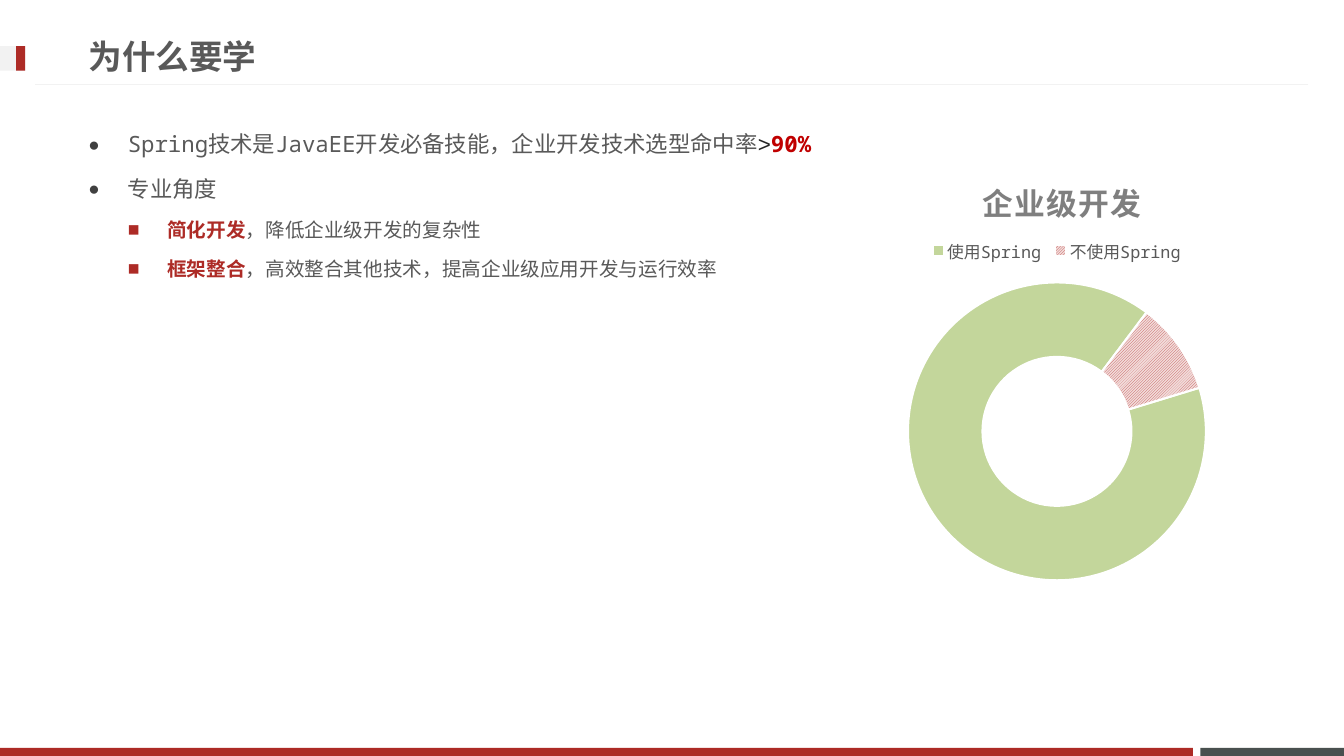
from lxml import etree
from pptx import Presentation
from pptx.chart.data import CategoryChartData
from pptx.dml.color import RGBColor
from pptx.enum.chart import XL_CHART_TYPE, XL_LEGEND_POSITION
from pptx.enum.dml import MSO_PATTERN
from pptx.enum.shapes import MSO_CONNECTOR, MSO_SHAPE
from pptx.enum.text import MSO_ANCHOR, MSO_AUTO_SIZE, PP_ALIGN
from pptx.oxml import parse_xml
from pptx.oxml.ns import qn
from pptx.util import Pt

DOUGHNUT = XL_CHART_TYPE.DOUGHNUT
TOP = XL_LEGEND_POSITION.TOP
DIAGONAL = MSO_PATTERN.LIGHT_UPWARD_DIAGONAL
STRAIGHT = MSO_CONNECTOR.STRAIGHT
RECT = MSO_SHAPE.RECTANGLE
MIDDLE = MSO_ANCHOR.MIDDLE
LEFT = PP_ALIGN.LEFT
NO_FIT = MSO_AUTO_SIZE.NONE
RED, GRAY, PALE = "AD2B26", "595959", "F2F2F2"
MONO = "Noto Sans Mono"
CHART_NS = "http://schemas.openxmlformats.org/drawingml/2006/chart"


def rgb(color):
    return RGBColor.from_string(color)


def add_run(p, text, size=16, color=GRAY, bold=False, font=MONO):
    r = p.add_run()
    r.text = text
    r.font.size, r.font.bold, r.font.name = Pt(size), bold, font
    r.font.color.rgb = rgb(color)
    etree.SubElement(r.font._element, qn("a:ea"), typeface=font)
    return r


prs = Presentation()
prs.slide_width, prs.slide_height = Pt(960), Pt(540)
s = prs.slides.add_slide(prs.slide_layouts[1])

for x, y, w, h, color in [
    (857.5, 534.2, 102.5, 5.8, "49504F"),
    (0, 534.2, 852, 5.8, RED),
    (0, 33, 18, 17.5, PALE),
    (11.5, 33, 6.5, 17.5, RED),
]:
    sp = s.shapes.add_shape(RECT, Pt(x), Pt(y), Pt(w), Pt(h))
    sp.shadow.inherit = False
    sp.fill.solid()
    sp.fill.fore_color.rgb = rgb(color)
    sp.line.fill.background()

rule = s.shapes.add_connector(STRAIGHT, Pt(934.5), Pt(60.5), Pt(25), Pt(60.5))
rule.line.color.rgb = rgb(PALE)
rule.line.width = Pt(0.75)
etree.SubElement(rule._element.spPr, qn("a:effectLst"))

title = s.shapes.title
title.left, title.top, title.width, title.height = Pt(56), Pt(19.5), Pt(690.5), Pt(41)
tf = title.text_frame
tf.auto_size, tf.vertical_anchor = NO_FIT, MIDDLE
p = tf.paragraphs[0]
p.alignment = LEFT
add_run(p, "为什么要学", size=24, bold=True)

body = s.placeholders[1]
body.left, body.top, body.width, body.height = Pt(56), Pt(80), Pt(846.5), Pt(372)
tf = body.text_frame
tf.auto_size = NO_FIT
bullets = [
    (0, [("Spring技术是JavaEE开发必备技能，企业开发技术选型命中率", {}),
         (">", {"color": "262626", "font": "Arial"}),
         ("90%", {"color": "C00000", "bold": True})]),
    (0, [("专业角度", {})]),
    (1, [("简化开发", {"color": RED, "bold": True}),
         ("，降低企业级开发的复杂性", {})]),
    (1, [("框架整合", {"color": RED, "bold": True}),
         ("，高效整合其他技术，提高企业级应用开发与运行效率", {})]),
]
styles = [(16, "●", "404040", "85000"), (14, "■", RED, "100000")]
for i, (level, runs) in enumerate(bullets):
    p = tf.paragraphs[0] if i == 0 else tf.add_paragraph()
    size, mark, color, scale = styles[level]
    p.level, p.line_spacing = level, 1.5
    pPr = p._p.get_or_add_pPr()
    pPr.set("marL", str(Pt(28.1 * (level + 1))))
    pPr.set("indent", str(Pt(-28.1)))
    etree.SubElement(etree.SubElement(pPr, qn("a:buClr")), qn("a:srgbClr"), val=color)
    etree.SubElement(pPr, qn("a:buSzPct"), val=scale)
    etree.SubElement(pPr, qn("a:buFont"), typeface=MONO)
    etree.SubElement(pPr, qn("a:buChar"), char=mark)
    for text, style in runs:
        add_run(p, text, size=size, **style)

data = CategoryChartData()
data.categories = ["使用Spring", "不使用Spring"]
data.add_series("Series 1", [90, 10])
chart = s.shapes.add_chart(
    DOUGHNUT, Pt(636.5), Pt(105), Pt(237), Pt(322.5), data).chart
chart.font.size, chart.font.name = Pt(10), "Calibri"
chart.font.color.rgb = rgb("000000")

chart.has_title = True
p = chart.chart_title.text_frame.paragraphs[0]
r = add_run(p, "企业级开发", size=22, color="7F7F7F", bold=True)
r.font._element.set("spc", "100")

chart.has_legend = True
legend = chart.legend
legend.position, legend.include_in_layout = TOP, False
legend.font.size, legend.font.name = Pt(12), MONO
legend.font.color.rgb = rgb(GRAY)

plot = chart.plots[0]
plot.vary_by_categories = True
doughnut = plot._element
doughnut.find(qn("c:firstSliceAng")).set("val", "73")
doughnut.find(qn("c:holeSize")).set("val", "41")
used, unused = [plot.series[0].points[i].format for i in range(2)]
used.fill.solid()
used.fill.fore_color.rgb = rgb("C3D69B")
unused.fill.patterned()
unused.fill.pattern = DIAGONAL
unused.fill.fore_color.rgb = rgb("C0504D")
unused.fill.back_color.rgb = rgb("F2DCDB")
for point in (used, unused):
    point.line.color.rgb = rgb("FFFFFF")
    point.line.width = Pt(1.5)

title_part = chart.chart_title._element
legend_part = legend._element
plot_area = doughnut.getparent()
for part, before, sizes in [
    (title_part, "c:tx", {"x": 0.26, "y": 0.06}),
    (legend_part, "c:legendPos", {"x": 0.1, "y": 0.2, "w": 0.8, "h": 0.06}),
    (plot_area, None, {"x": 0.05, "y": 0.3, "w": 0.9, "h": 0.66}),
]:
    for old in part.findall(qn("c:layout")):
        part.remove(old)
    layout = parse_xml(f'<c:layout xmlns:c="{CHART_NS}"><c:manualLayout/></c:layout>')
    manual = layout[0]
    if part is plot_area:
        etree.SubElement(manual, qn("c:layoutTarget"), val="inner")
    for key in ("x", "y"):
        etree.SubElement(manual, qn(f"c:{key}Mode"), val="edge")
    for key, value in sizes.items():
        etree.SubElement(manual, qn(f"c:{key}"), val=str(value))
    if before:
        part.find(qn(before)).addnext(layout)
    else:
        part.insert(0, layout)

prs.save("out.pptx")
